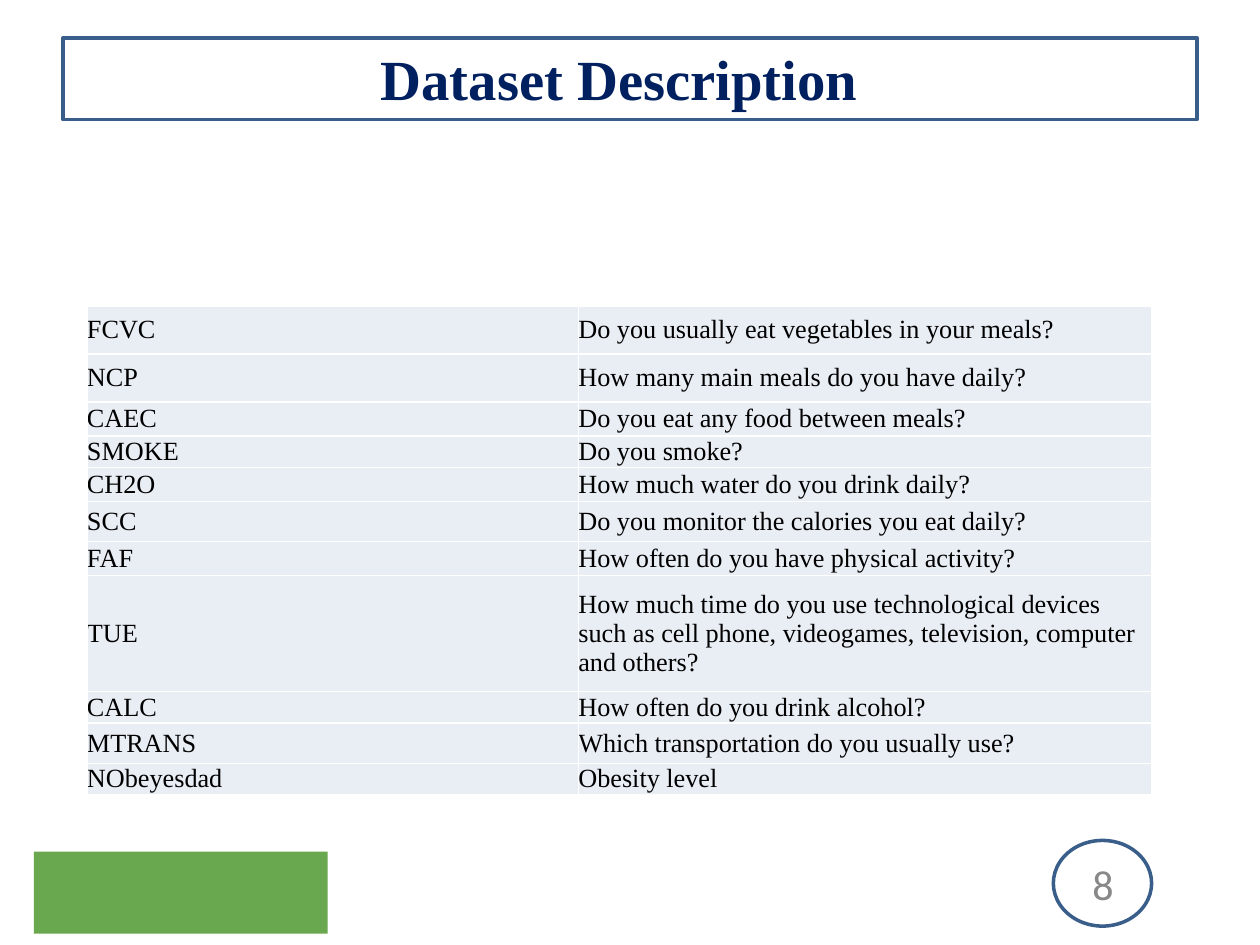
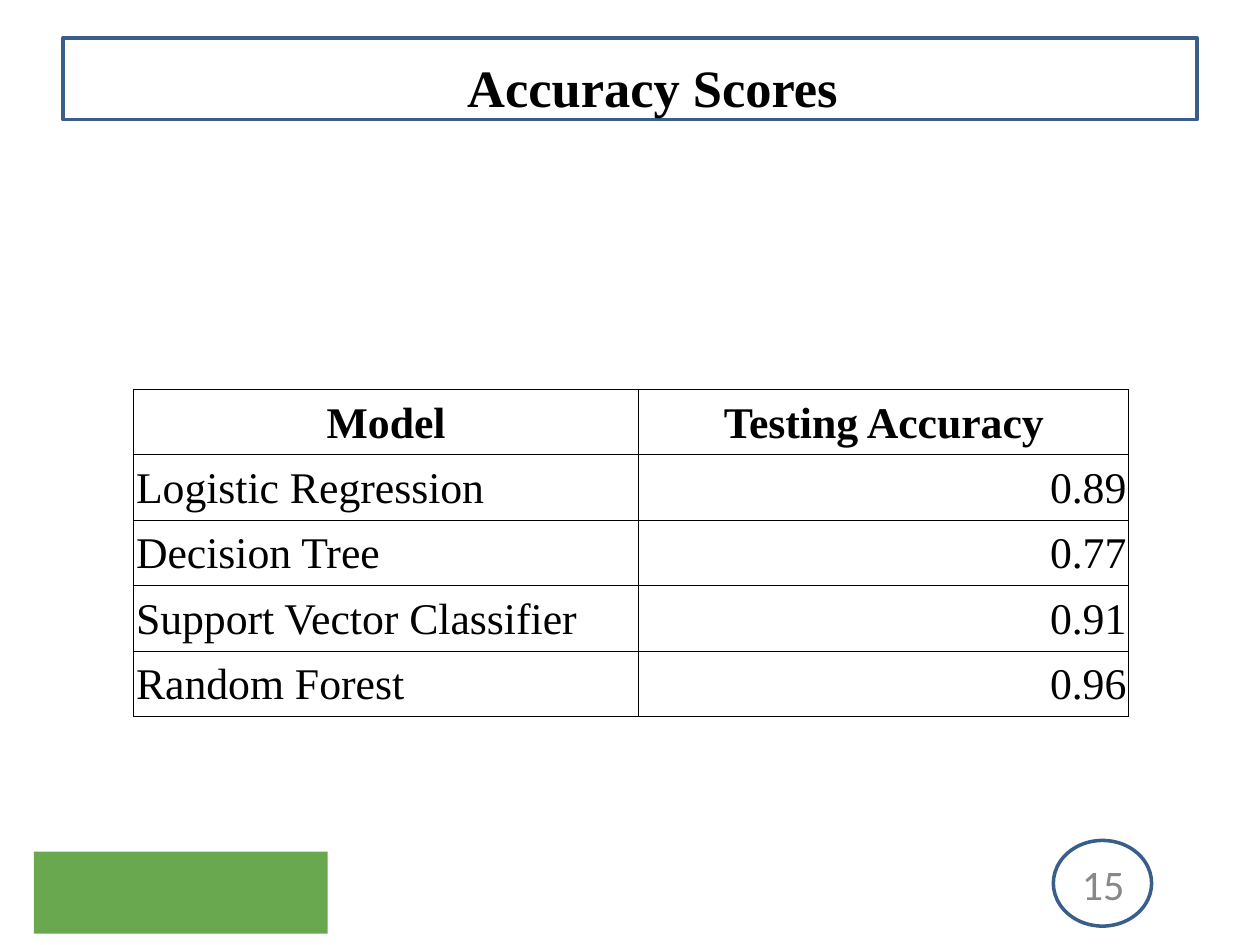
from lxml.etree import SubElement
from pptx import Presentation
from pptx.dml.color import RGBColor
from pptx.enum.shapes import MSO_SHAPE as Shape
from pptx.enum.text import MSO_ANCHOR as Anchor, PP_ALIGN as Align
from pptx.oxml.ns import qn
from pptx.util import Inches, Pt

GREEN, BLUE, NAVY = "6AA84F", "395E89", "002060"
BLACK, WHITE, GREY, PALE = "000000", "FFFFFF", "888888", "E9EDF4"
SERIF = "Times New Roman"


def color(code):
    return RGBColor.from_string(code)


def write(frame, text, align, size, code, font=SERIF, bold=False):
    paragraph = frame.paragraphs[0]
    paragraph.alignment = align
    run = paragraph.add_run()
    run.text = text
    style = {"name": font, "size": Pt(size), "bold": bold}
    for name, value in style.items():
        setattr(run.font, name, value)
    run.font.color.rgb = color(code)


# Shared furniture: preset, place, fill, outline
furniture = [
    (Shape.RECTANGLE, (0.27, 6.76, 2.33, 0.65), GREEN, None),
    (Shape.RECTANGLE, (0.5, 0.3, 9, 0.65), None, BLUE),
    (Shape.OVAL, (8.36, 6.67, 0.78, 0.68), None, BLUE),
]
number_place = (8.16, 6.77, 1.19, 0.48)

# Content of the two slides
questions = [
    ("FCVC", "Do you usually eat vegetables in your meals?"),
    ("NCP", "How many main meals do you have daily?"),
    ("CAEC", "Do you eat any food between meals?"),
    ("SMOKE", "Do you smoke?"),
    ("CH2O", "How much water do you drink daily?"),
    ("SCC", "Do you monitor the calories you eat daily?"),
    ("FAF", "How often do you have physical activity?"),
    ("TUE", "How much time do you use technological devices such as cell phone, "
            "videogames, television, computer and others?"),
    ("CALC", "How often do you drink alcohol?"),
    ("MTRANS", "Which transportation do you usually use?"),
    ("NObeyesdad", "Obesity level"),
]
scores = [
    ("Model", "Testing Accuracy"),
    ("Logistic Regression", "0.89"),
    ("Decision Tree", "0.77"),
    ("Support Vector Classifier", "0.91"),
    ("Random Forest", "0.96"),
]
pages = [
    {"number": "8", "title": "Dataset Description", "title_place": (0.5, 0.42, 8.83, 0.4),
     "title_size": 32.4, "title_color": NAVY,
     "rows": questions, "corner": (0.69, 2.43), "widths": [3.9, 4.55],
     "heights": [0.38, 0.38, 0.27, 0.25, 0.27, 0.32, 0.27, 0.92, 0.25, 0.32, 0.25],
     "size": 15, "aligns": (Align.LEFT, Align.LEFT), "header": False,
     "fill": PALE, "border": (WHITE, 1), "inset": 0},
    {"number": "15", "title": "Accuracy Scores", "title_place": (1.06, 0.33, 8.24, 0.72),
     "title_size": 30, "title_color": BLACK,
     "rows": scores, "corner": (1.06, 3.09), "widths": [4.01, 3.89],
     "heights": [0.52] * len(scores),
     "size": 25, "aligns": (Align.LEFT, Align.RIGHT), "header": True,
     "fill": None, "border": (BLACK, 0.5), "inset": 0.02},
]

deck = Presentation()
deck.slide_width, deck.slide_height = Inches(10), Inches(7.5)

for page in pages:
    slide = deck.slides.add_slide(deck.slide_layouts[6])

    # Green band, title frame and number ring
    for preset, place, fill, outline in furniture:
        part = slide.shapes.add_shape(preset, *map(Inches, place))
        part.shadow.inherit = False
        if fill:
            part.fill.solid()
            part.fill.fore_color.rgb = color(fill)
        else:
            part.fill.background()
        if outline:
            part.line.color.rgb = color(outline)
            part.line.width = Pt(2)
        else:
            part.line.fill.background()

    # Page number and title
    labels = [
        (number_place, page["number"], 24, GREY, "Calibri", False),
        (page["title_place"], page["title"], page["title_size"], page["title_color"], SERIF, True),
    ]
    for place, text, size, code, font, bold in labels:
        frame = slide.shapes.add_textbox(*map(Inches, place)).text_frame
        frame.word_wrap = True
        frame.vertical_anchor = Anchor.MIDDLE
        write(frame, text, Align.CENTER, size, code, font, bold)

    # Table grid
    rows, widths, heights = page["rows"], page["widths"], page["heights"]
    extent = (*page["corner"], sum(widths), sum(heights))
    table = slide.shapes.add_table(len(rows), len(widths), *map(Inches, extent)).table
    table.first_row = page["header"]
    table.horz_banding = False
    for column, width in zip(table.columns, widths):
        column.width = Inches(width)
    for row, height in zip(table.rows, heights):
        row.height = Inches(height)

    # Table cells
    inset = Inches(page["inset"])
    cell_format = {"margin_left": inset, "margin_right": inset, "margin_top": inset,
                   "margin_bottom": 0, "vertical_anchor": Anchor.MIDDLE}
    border_color, border_width = page["border"]
    for r, texts in enumerate(rows):
        heading = page["header"] and r == 0
        for c, text in enumerate(texts):
            cell = table.cell(r, c)
            for name, value in cell_format.items():
                setattr(cell, name, value)
            align = Align.CENTER if heading else page["aligns"][c]
            write(cell.text_frame, text, align, page["size"], BLACK, bold=heading)
            properties = cell._tc.get_or_add_tcPr()
            for side in ("a:lnL", "a:lnR", "a:lnT", "a:lnB"):
                edge = SubElement(properties, qn(side), w=str(Pt(border_width)))
                SubElement(SubElement(edge, qn("a:solidFill")), qn("a:srgbClr"), val=border_color)
            if page["fill"]:
                cell.fill.solid()
                cell.fill.fore_color.rgb = color(page["fill"])
            else:
                cell.fill.background()

deck.save("out.pptx")
